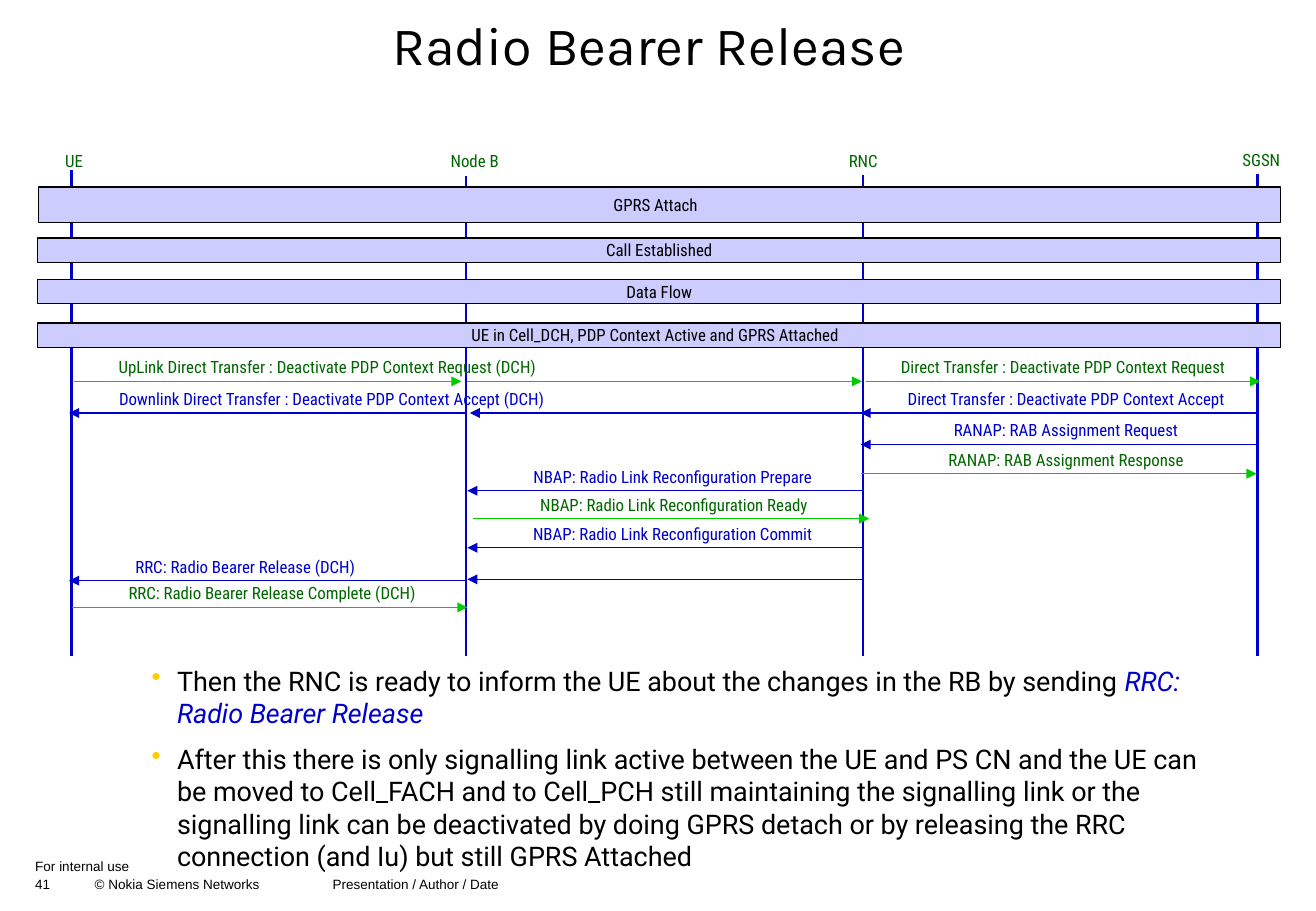
from lxml import etree
from pptx import Presentation
from pptx.dml.color import RGBColor
from pptx.enum.shapes import MSO_CONNECTOR, MSO_SHAPE
from pptx.enum.text import MSO_ANCHOR, MSO_AUTO_SIZE, PP_ALIGN
from pptx.oxml.ns import qn
from pptx.util import Pt

PX = 9144  # 100 px to the inch
STRAIGHT, RECTANGLE = MSO_CONNECTOR.STRAIGHT, MSO_SHAPE.RECTANGLE
TOP, MIDDLE = MSO_ANCHOR.TOP, MSO_ANCHOR.MIDDLE
LEFT, CENTER = PP_ALIGN.LEFT, PP_ALIGN.CENTER
FIT_SHAPE, NO_FIT = MSO_AUTO_SIZE.SHAPE_TO_FIT_TEXT, MSO_AUTO_SIZE.NONE

BLACK = RGBColor(0x00, 0x00, 0x00)
BLUE = RGBColor(0x00, 0x00, 0xCC)
DARK_GREEN = RGBColor(0x00, 0x66, 0x00)
GREEN = RGBColor(0x00, 0xCC, 0x00)
LAVENDER = RGBColor(0xCC, 0xCC, 0xFF)
BULLET_YELLOW = RGBColor(0xFF, 0xCC, 0x00)

LIFELINE_BOTTOM = 540
LABEL_HEIGHT = 27
LABEL_RISE = 25  # from the top of a label to its arrow

# name, label left, top and width, lifeline x and top
NODES = [
    ("UE", 42, 119, 38, 59, 140),
    ("Node B", 357, 119, 68, 384, 145),
    ("RNC", 687, 119, 48, 711, 144),
    ("SGSN", 1011, 118, 56, 1036, 143),
]

# text, left, top, width, height, right inset
PHASES = [
    ("GPRS Attach", 32, 154, 1023, 29, 7),
    ("Call Established", 31, 196, 1024, 20, 0),
    ("Data Flow", 31, 230, 1024, 20, 0),
    ("UE in Cell_DCH, PDP Context Active and GPRS Attached", 31, 266, 1024, 20, 7),
]

# arrow start, end and y, label left, width and text
MESSAGES = [
    (61, 380, 314, 56, 427, "UpLink Direct Transfer : Deactivate PDP Context Request (DCH)"),
    (385, 710, 314, 0, 0, ""),
    (713, 1038, 314, 707, 337, "Direct Transfer : Deactivate PDP Context Request"),
    (1035, 709, 340, 714, 328, "Direct Transfer : Deactivate PDP Context Accept"),
    (713, 387, 340, 0, 0, ""),
    (383, 57, 340, 56, 434, "Downlink Direct Transfer : Deactivate PDP Context Accept (DCH)"),
    (1035, 709, 366, 760, 236, "RANAP: RAB Assignment Request"),
    (709, 1035, 390, 755, 246, "RANAP: RAB Assignment Response"),
    (711, 385, 404, 407, 294, "NBAP: Radio Link Reconfiguration Prepare"),
    (390, 716, 427, 414, 282, "NBAP: Radio Link Reconfiguration Ready"),
    (711, 385, 451, 407, 294, "NBAP: Radio Link Reconfiguration Commit"),
    (711, 385, 477, 0, 0, ""),
    (383, 57, 478, 86, 232, "RRC: Radio Bearer Release (DCH)"),
    (59, 385, 500, 75, 298, "RRC: Radio Bearer Release Complete (DCH)"),
]

BULLETS = [
    [("Then the RNC is ready to inform the UE about the changes in the RB by sending ", BLACK, False),
     ("RRC: Radio Bearer Release", BLUE, True)],
    [("After this there is only signalling link active between the UE and PS CN and the UE can "
      "be moved to Cell_FACH and to Cell_PCH still maintaining the signalling link or the "
      "signalling link can be deactivated by doing GPRS detach or by releasing the RRC "
      "connection (and Iu) but still GPRS Attached", BLACK, False)],
]


def add_text(paragraph, text, font="Roboto Condensed", size=10, color=BLACK,
             italic=False, align=LEFT):
    paragraph.alignment = align
    run = paragraph.add_run()
    run.text = text
    run.font.name = font
    run.font.size = Pt(size)
    run.font.italic = italic
    run.font.color.rgb = color


def set_frame(shape, insets=(10, 5, 10, 5), anchor=TOP, wrap=True, fit=NO_FIT):
    frame = shape.text_frame
    frame.margin_left, frame.margin_top, frame.margin_right, frame.margin_bottom = (
        inset * PX for inset in insets)
    frame.vertical_anchor = anchor
    frame.word_wrap = wrap
    frame.auto_size = fit
    return frame


def add_box(slide, left, top, width, height, **frame_format):
    shape = slide.shapes.add_textbox(left * PX, top * PX, width * PX, height * PX)
    return set_frame(shape, **frame_format)


def add_label(slide, text, left, top, width, color):
    frame = add_box(slide, left, top, width, LABEL_HEIGHT, wrap=False, fit=FIT_SHAPE)
    add_text(frame.paragraphs[0], text, color=color, align=CENTER)


def add_line(slide, start, end, color, width, arrow=False):
    connector = slide.shapes.add_connector(
        STRAIGHT, *(length * PX for length in (*start, *end)))
    connector.line.color.rgb = color
    connector.line.width = Pt(width)
    if arrow:
        outline = connector.line._get_or_add_ln()
        etree.SubElement(outline, qn("a:tailEnd"), type="triangle")
    etree.SubElement(connector._element.spPr, qn("a:effectLst"))


def add_phase(slide, text, left, top, width, height, right_inset):
    bar = slide.shapes.add_shape(RECTANGLE, left * PX, top * PX, width * PX, height * PX)
    bar.shadow.inherit = False
    bar.fill.solid()
    bar.fill.fore_color.rgb = LAVENDER
    bar.line.color.rgb = BLACK
    bar.line.width = Pt(0.75)
    frame = set_frame(bar, insets=(0, 0, right_inset, 0), anchor=MIDDLE)
    add_text(frame.paragraphs[0], text, align=CENTER)


def add_message(slide, start, end, y, label_left, label_width, text):
    rightward = end > start
    add_line(slide, (start, y), (end, y), GREEN if rightward else BLUE, 0.75, arrow=True)
    if text:
        add_label(slide, text, label_left, y - LABEL_RISE, label_width,
                  DARK_GREEN if rightward else BLUE)


def set_bullet(paragraph, indent):
    properties = paragraph._p.get_or_add_pPr()
    properties.set("marL", str(indent * PX))
    properties.set("indent", str(-indent * PX))
    bullet_color = etree.SubElement(properties, qn("a:buClr"))
    etree.SubElement(bullet_color, qn("a:srgbClr"), val=str(BULLET_YELLOW))
    etree.SubElement(properties, qn("a:buChar"), char="•")


def set_tabs(paragraph, stops):
    tabs = etree.SubElement(paragraph._p.get_or_add_pPr(), qn("a:tabLst"))
    for stop in stops:
        etree.SubElement(tabs, qn("a:tab"), pos=str(stop * PX), algn="l")


def add_title(slide, text):
    title = slide.shapes.title
    title.left, title.top, title.width, title.height = 79 * PX, 8 * PX, 911 * PX, 63 * PX
    paragraph = set_frame(title, anchor=MIDDLE).paragraphs[0]
    paragraph.line_spacing = 0.9
    add_text(paragraph, text, font="Karla", size=32, align=CENTER)


def add_bullets(slide):
    frame = add_box(slide, 115, 542, 895, 181, fit=FIT_SHAPE)
    for index, runs in enumerate(BULLETS):
        paragraph = frame.add_paragraph() if index else frame.paragraphs[0]
        set_bullet(paragraph, 21)
        paragraph.space_before = Pt(8 if index else 0)
        for text, color, italic in runs:
            add_text(paragraph, text, font="Roboto", size=16, color=color, italic=italic)


def add_footer(slide, text, top, width, height, stops=()):
    paragraph = add_box(slide, 29, top, width, height, insets=(0, 0, 0, 0)).paragraphs[0]
    if stops:
        set_tabs(paragraph, stops)
    add_text(paragraph, text, font="Arial", size=8)


def main():
    presentation = Presentation()
    presentation.slide_width, presentation.slide_height = 1084 * PX, 750 * PX
    slide = presentation.slides.add_slide(presentation.slide_layouts[5])
    add_title(slide, "Radio Bearer Release")

    # Network nodes and their lifelines
    for name, left, top, width, x, line_top in NODES:
        add_line(slide, (x, line_top), (x, LIFELINE_BOTTOM), BLUE, 1.5)
        add_label(slide, name, left, top, width, DARK_GREEN)

    # Phases across all nodes, then the message flow
    for phase in PHASES:
        add_phase(slide, *phase)
    for message in MESSAGES:
        add_message(slide, *message)

    # Explanation and footer
    add_bullets(slide)
    add_footer(slide, "For internal use", 706, 361, 15)
    add_footer(slide, "41\t© Nokia Siemens Networks \tPresentation / Author / Date",
               721, 811, 17, stops=(49, 245))
    presentation.save("out.pptx")


if __name__ == "__main__":
    main()
